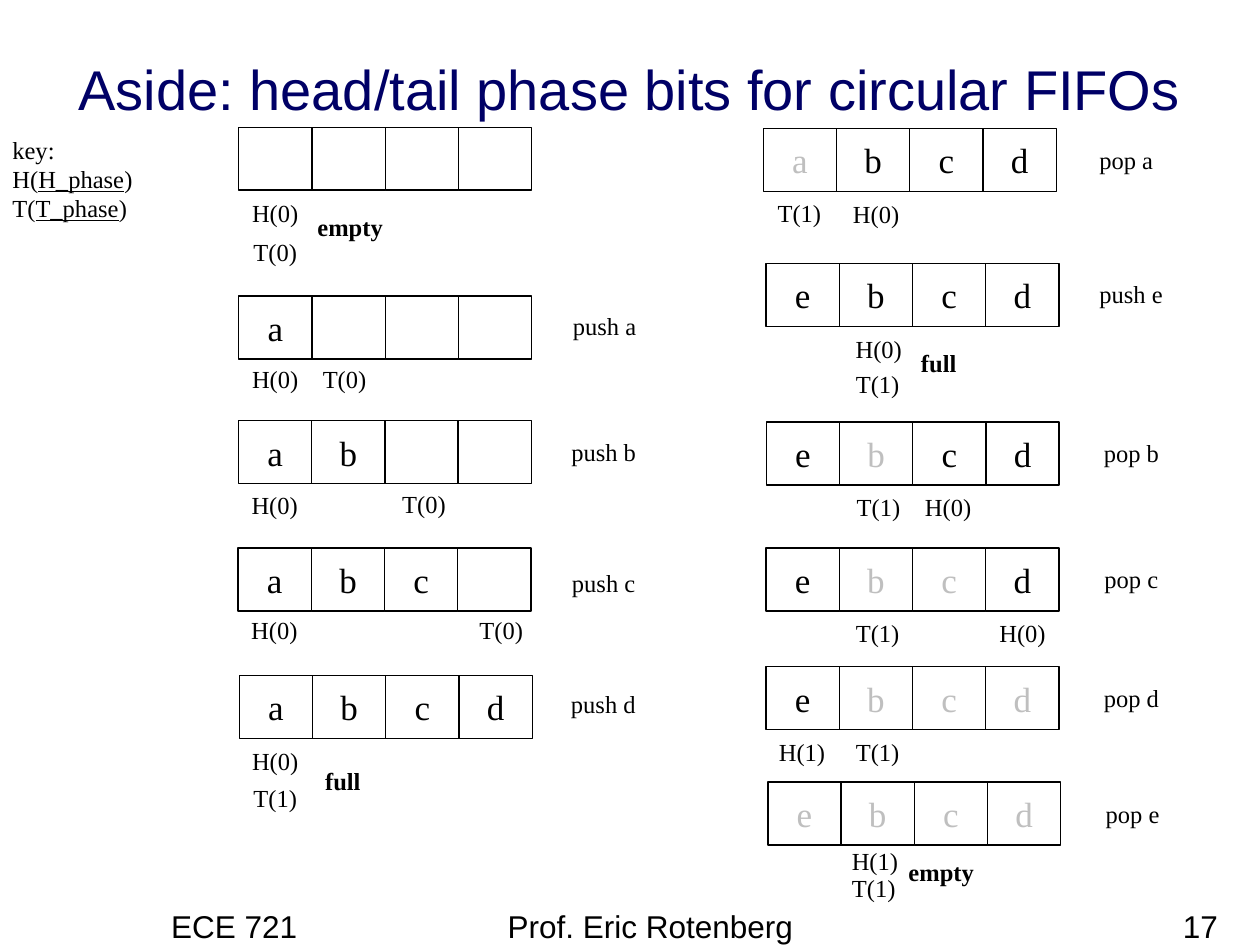
from pptx import Presentation
from pptx.dml.color import RGBColor
from pptx.enum.shapes import MSO_SHAPE as Preset
from pptx.enum.text import MSO_ANCHOR as Anchor, MSO_AUTO_SIZE as AutoSize, PP_ALIGN as Align
from pptx.util import Pt

SANS, SERIF = "Arial", "Times New Roman"
NAVY, BLACK, GRAY = "000066", "000000", "BFBFBF"
CELL_WIDTH, CELL_HEIGHT, LABEL_HEIGHT = 41.85, 36, 24.5
LABEL_WIDTHS = {"H": 41, "T": 39.6, "empty": 51.8, "full": 34.6, "push": 51.5, "pop": 46}

TITLE = "Aside: head/tail phase bits for circular FIFOs"
KEY = [[("key:", False)],
       [("H(", False), ("H_phase", True), (")", False)],
       [("T(", False), ("T_phase", True), (")", False)]]
FOOTERS = [("ECE 721", 90.7, 150, Align.LEFT),
           ("Prof. Eric Rotenberg", 283, 228, Align.LEFT),
           ("17", 553, 150, Align.RIGHT)]

# left, top, slots, popped slots, labels as (text, left, top)
QUEUES = [
    (136.5, 72.7, "    ", "",
     [("H(0)", 136.8, 109.4), ("T(0)", 137.5, 131.8), ("empty", 174.2, 117.4)]),
    (136.5, 169.2, "a   ", "",
     [("H(0)", 136.8, 204.5), ("T(0)", 177.1, 204.5), ("push a", 319.7, 174.2)]),
    (136.3, 240.5, "ab  ", "",
     [("H(0)", 136.5, 276.5), ("T(0)", 222.5, 275.8), ("push b", 319.2, 246.2)]),
    (136.1, 313.2, "abc ", "",
     [("H(0)", 136.3, 347.8), ("T(0)", 266.6, 347.8), ("push c", 319.2, 321.1)]),
    (136.8, 386, "abcd", "",
     [("H(0)", 136.8, 422.6), ("T(1)", 137.5, 444.2), ("full", 178.6, 434.2),
      ("push d", 319, 390.2)]),
    (436.2, 73.4, "abcd", "a",
     [("T(1)", 437, 109.4), ("H(0)", 480.2, 110.2), ("pop a", 620.6, 79.2)]),
    (437.8, 150.5, "ebcd", "",
     [("H(0)", 481.7, 187.2), ("T(1)", 481.7, 207.4), ("full", 519.1, 195.1),
      ("push e", 620.6, 156.2)]),
    (437.9, 241.2, "ebcd", "b",
     [("T(1)", 482.2, 277.9), ("H(0)", 521.3, 277.9), ("pop b", 623.5, 247)]),
    (437.8, 313.2, "ebcd", "bc",
     [("T(1)", 481.7, 349.9), ("H(0)", 563.8, 349.9), ("pop c", 623.5, 319)]),
    (437.8, 380.9, "ebcd", "bcd",
     [("H(1)", 437.8, 417.6), ("T(1)", 481.7, 417.6), ("pop d", 623.5, 386.6)]),
    (438.8, 446.9, "ebcd", "ebcd",
     [("H(1)", 479.5, 480.2), ("T(1)", 479.5, 495.4), ("empty", 511.9, 486),
      ("pop e", 624.2, 452.9)]),
]


def rgb(code):
    """Turn a hex string into a colour."""
    return RGBColor.from_string(code)


def add_run(paragraph, text, size, face, color=BLACK, bold=False, underline=False):
    """Append one formatted run."""
    run = paragraph.add_run()
    run.text = text
    font = run.font
    font.size, font.name, font.bold, font.underline = Pt(size), face, bold, underline
    font.color.rgb = rgb(color)


def add_box(slide, left, top, width, height, wrap=False):
    """Add a text box and return its frame."""
    frame = slide.shapes.add_textbox(Pt(left), Pt(top), Pt(width), Pt(height)).text_frame
    frame.word_wrap = wrap
    return frame


def add_label(slide, text, left, top):
    """Add a pointer, state or operation label."""
    kind = text.split("(")[0].split()[0]
    frame = add_box(slide, left, top, LABEL_WIDTHS[kind], LABEL_HEIGHT)
    paragraph = frame.paragraphs[0]
    paragraph.alignment = Align.CENTER
    add_run(paragraph, text, 14, SERIF, bold=kind in ("empty", "full"))


def add_slot(slide, item, left, top, color):
    """Add one FIFO slot with its item, if any."""
    slot = slide.shapes.add_shape(Preset.RECTANGLE, Pt(left), Pt(top),
                                  Pt(CELL_WIDTH), Pt(CELL_HEIGHT))
    slot.shadow.inherit = False
    slot.fill.background()
    slot.line.color.rgb = rgb(BLACK)
    slot.line.width = Pt(0.75)
    frame = slot.text_frame
    frame.word_wrap = False
    frame.vertical_anchor = Anchor.MIDDLE
    if item.strip():
        paragraph = frame.paragraphs[0]
        paragraph.alignment = Align.CENTER
        add_run(paragraph, item, 20, SERIF, color)


def add_title(slide):
    """Place and fill the title placeholder."""
    title = slide.shapes.title
    title.left, title.top, title.width, title.height = Pt(0), Pt(27.4), Pt(720), Pt(46)
    frame = title.text_frame
    frame.vertical_anchor = Anchor.BOTTOM
    frame.auto_size = AutoSize.NONE
    frame.paragraphs[0].alignment = Align.CENTER
    add_run(frame.paragraphs[0], TITLE, 32, SANS, NAVY)


def add_key(slide):
    """Add the legend for the pointer notation."""
    frame = add_box(slide, 0, 73.4, 83.5, 58.3)
    for index, pieces in enumerate(KEY):
        paragraph = frame.add_paragraph() if index else frame.paragraphs[0]
        for text, underline in pieces:
            add_run(paragraph, text, 14, SERIF, underline=underline)


def main():
    """Build the slide and save it."""
    deck = Presentation()
    deck.slide_width, deck.slide_height = Pt(720), Pt(540)
    slide = deck.slides.add_slide(deck.slide_layouts[5])
    add_title(slide)
    for text, left, width, align in FOOTERS:
        paragraph = add_box(slide, left, 514.8, width, 36, wrap=True).paragraphs[0]
        paragraph.alignment = align
        add_run(paragraph, text, 18, SANS)
    add_key(slide)
    for left, top, items, popped, labels in QUEUES:
        for index, item in enumerate(items):
            color = GRAY if item in popped else BLACK
            add_slot(slide, item, left + index * CELL_WIDTH, top, color)
        for label in labels:
            add_label(slide, *label)
    deck.save("out.pptx")


if __name__ == "__main__":
    main()
